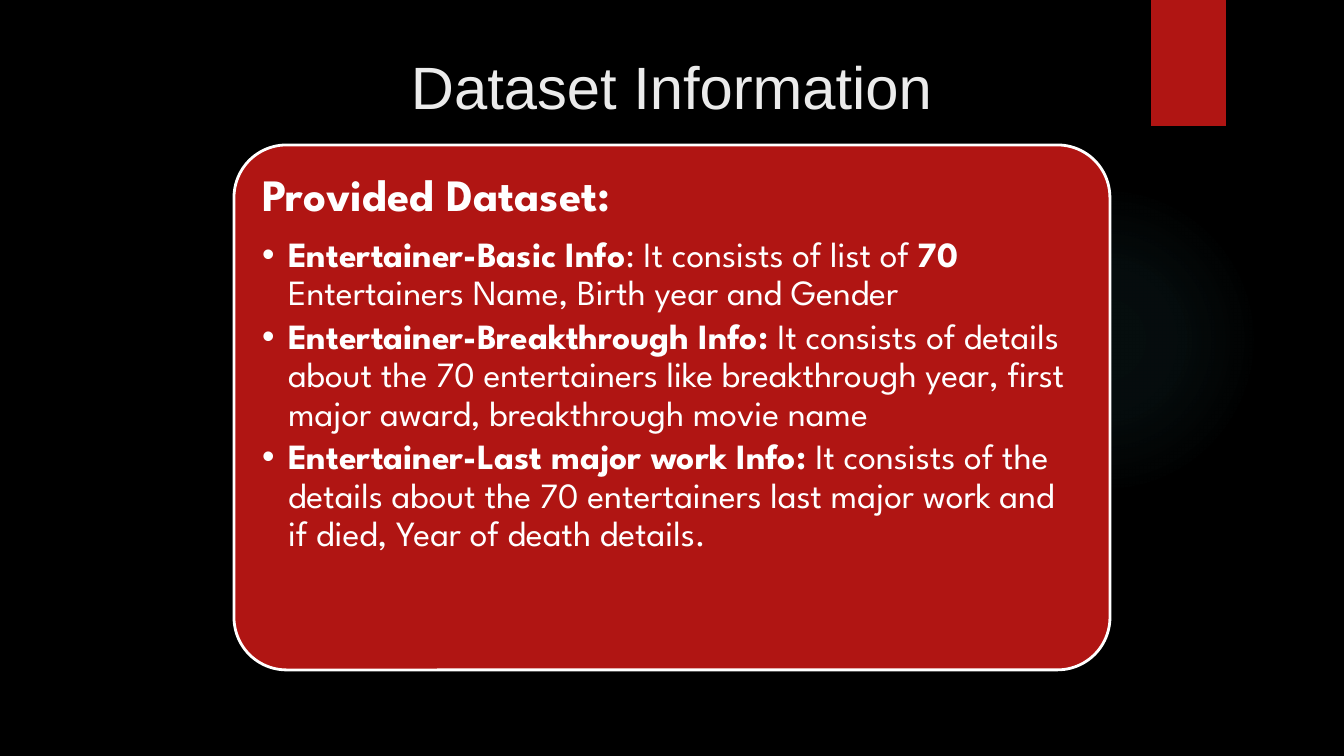
import pptx
import pptx.dml.color
import pptx.enum.shapes
import pptx.enum.text
import pptx.oxml
import pptx.oxml.ns
import pptx.util

SHAPE = pptx.enum.shapes.MSO_SHAPE
ALIGN = pptx.enum.text.PP_ALIGN
ANCHOR = pptx.enum.text.MSO_ANCHOR
EMU_PER_PX = 914400 / 134.4
RED, WHITE = "B01513", "FFFFFF"
BODY_FONT = "League Spartan"

DATASETS = [
    [("Entertainer-Basic Info", True), (": It consists of list of ", False),
     ("70", True), (" Entertainers Name, Birth year and Gender", False)],
    [("Entertainer-Breakthrough Info:", True),
     (" It consists of details about the 70 entertainers like breakthrough year, "
      "first major award, breakthrough movie name", False)],
    [("Entertainer-Last major work Info:", True),
     (" It consists of the details about the 70 entertainers last major work and "
      "if died, Year of death details.", False)],
]


def px(length):
    return pptx.util.Emu(round(length * EMU_PER_PX))


def color(hex_string):
    return pptx.dml.color.RGBColor.from_string(hex_string)


def place(shape, box):
    shape.left, shape.top, shape.width, shape.height = map(px, box)


def add_filled(slide, kind, box, fill):
    shape = slide.shapes.add_shape(kind, *map(px, box))
    shape.shadow.inherit = False
    shape.fill.solid()
    shape.fill.fore_color.rgb = color(fill)
    shape.line.fill.background()
    return shape


def write(paragraph, runs, size, font=BODY_FONT, fill=WHITE, align=ALIGN.LEFT,
          spacing=1.0, after=0, bullet=None, indent=0):
    """Fill a paragraph with (text, bold) runs and set its format."""
    paragraph.alignment = align
    paragraph.line_spacing = spacing
    paragraph.space_before = pptx.util.Pt(0)
    paragraph.space_after = pptx.util.Pt(after)
    paragraph.level = 1 if bullet else 0
    properties = paragraph._p.get_or_add_pPr()
    properties.set("marL", str(px(indent)))
    properties.set("indent", str(-px(indent)))
    mark = f'a:buChar char="{bullet}"' if bullet else "a:buNone"
    properties.append(pptx.oxml.parse_xml(f"<{mark} {pptx.oxml.ns.nsdecls('a')}/>"))
    for text, bold in runs:
        run = paragraph.add_run()
        run.text = text
        run.font.name = font
        run.font.size = pptx.util.Pt(size)
        run.font.bold = bold
        run.font.color.rgb = color(fill)


def prepare_frame(placeholder, anchor):
    frame = placeholder.text_frame
    frame.word_wrap = True
    frame.auto_size = pptx.enum.text.MSO_AUTO_SIZE.NONE
    frame.vertical_anchor = anchor
    frame.margin_left = frame.margin_right = px(13)
    frame.margin_top = frame.margin_bottom = px(13)
    return frame


def draw_backdrop(slide, box):
    left, top, width, height = box
    slide.background.fill.solid()
    slide.background.fill.fore_color.rgb = color("000000")

    # Faint glow fading out from its centre
    glow = add_filled(slide, SHAPE.OVAL, (left + 949, top + 185, 310, 310), "50B9C1")
    stops = "".join(
        f'<a:gs pos="{position * 1000}"><a:srgbClr val="50B9C1">'
        f'<a:alpha val="{alpha * 1000}"/></a:srgbClr></a:gs>'
        for position, alpha in [(0, 7), (36, 6), (69, 0), (100, 0)])
    gradient = pptx.oxml.parse_xml(
        f'<a:gradFill {pptx.oxml.ns.nsdecls("a")}><a:gsLst>{stops}</a:gsLst>'
        '<a:path path="circle"><a:fillToRect l="50000" t="50000" r="50000" b="50000"/>'
        "</a:path></a:gradFill>")
    solid = glow._element.spPr.find(pptx.oxml.ns.qn("a:solidFill"))
    solid.getparent().replace(solid, gradient)

    # Ribbon hanging from the top edge
    add_filled(slide, SHAPE.RECTANGLE, (left + width - 193, top, 75, 126), RED)


def draw_title(slide, box):
    title = slide.shapes.title
    place(title, box)
    frame = prepare_frame(title, ANCHOR.MIDDLE)
    write(frame.paragraphs[0], [("Dataset Information", False)], 32,
          font="Arial", fill="EBEBEB", align=ALIGN.CENTER)


def draw_dataset_card(slide, box):
    left, top, width, height = box
    card = add_filled(slide, SHAPE.ROUNDED_RECTANGLE, box, RED)
    card.adjustments[0] = 0.1
    card.line.color.rgb = color(WHITE)
    card.line.width = pptx.util.Pt(1.5)

    # The list sits inside the card, in front of it
    details = slide.placeholders[1]
    slide.shapes._spTree.append(details._element)
    inset = 15
    place(details, (left + inset, top + inset, width - 2 * inset, height - 2 * inset))
    frame = prepare_frame(details, ANCHOR.TOP)
    write(frame.paragraphs[0], [("Provided Dataset:", True)], 24,
          spacing=0.9, after=8.4)
    for runs in DATASETS:
        write(frame.add_paragraph(), runs, 19, spacing=0.9, after=2.85,
              bullet="•", indent=26)


def main():
    deck = pptx.Presentation()
    deck.slide_width, deck.slide_height = px(1344), px(756)
    slide = deck.slides.add_slide(deck.slide_layouts[1])
    draw_backdrop(slide, (0, 0, 1344, 756))
    draw_title(slide, (46, 34, 1252, 103))
    draw_dataset_card(slide, (234, 145, 876, 525))
    deck.save("out.pptx")


if __name__ == "__main__":
    main()
